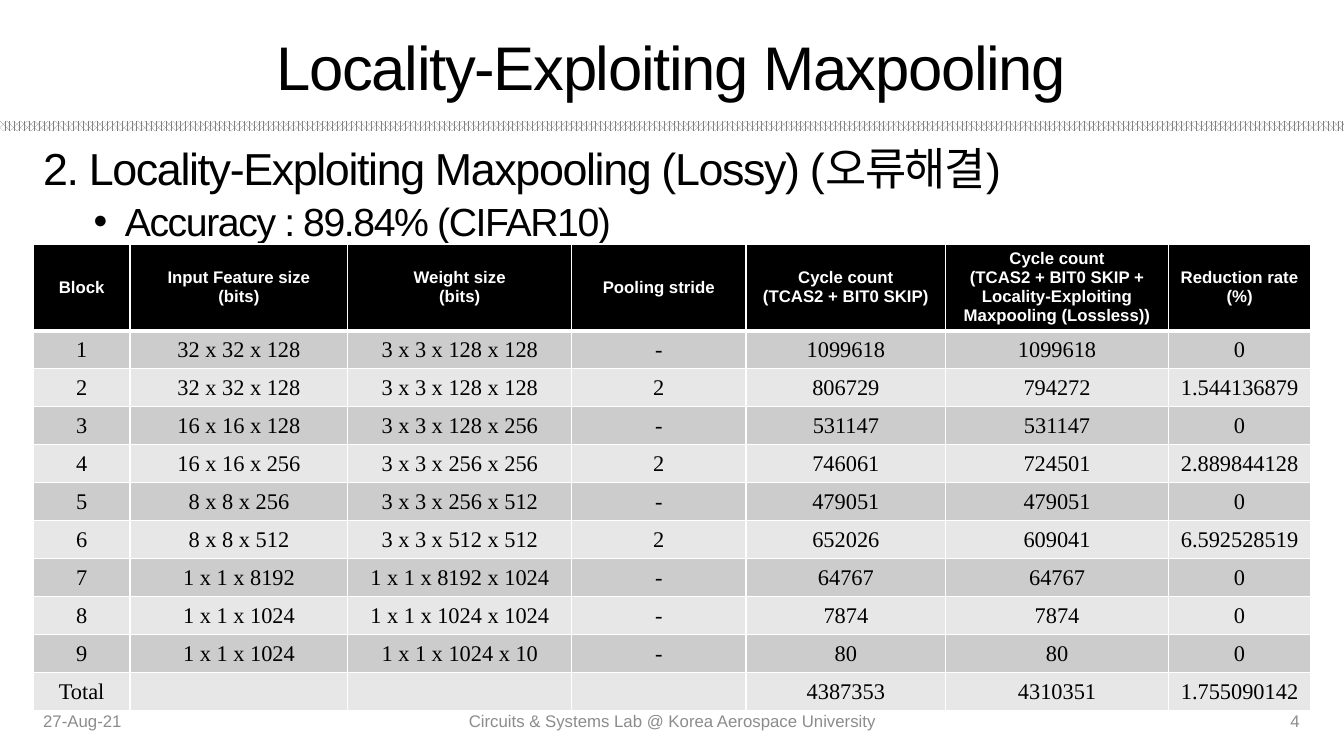
from pptx import Presentation
from pptx.dml.color import RGBColor
from pptx.enum.dml import MSO_PATTERN
from pptx.enum.shapes import MSO_SHAPE
from pptx.enum.text import MSO_ANCHOR as Anchor, PP_ALIGN as Align
from pptx.oxml.ns import qn
from pptx.util import Inches, Pt
from lxml.etree import SubElement

BLACK = RGBColor(0x00, 0x00, 0x00)
WHITE = RGBColor(0xFF, 0xFF, 0xFF)
GRAY = RGBColor(0x80, 0x80, 0x80)
FOOTER_GRAY = RGBColor(0x8C, 0x8C, 0x8C)
BANDS = (RGBColor(0xCC, 0xCC, 0xCC), RGBColor(0xE7, 0xE7, 0xE7))

TITLE = {"name": "Arial", "size": Pt(44), "color": BLACK}
TOPIC = {**TITLE, "size": Pt(32)}
DETAIL = {**TITLE, "size": Pt(28)}
FOOTER = {"name": "Arial", "size": Pt(12), "color": FOOTER_GRAY}
HEADER = {"name": "Arial", "size": Pt(12), "color": WHITE, "bold": True}
VALUE = {"name": "Times New Roman", "size": Pt(16), "color": BLACK, "bold": False}

HEADER_MARGINS = {"margin_top": Inches(0.03), "margin_bottom": Inches(0.03)}
COUNT_MARGINS = {"margin_left": Inches(0.01), "margin_right": Inches(0.01),
                 "margin_top": Inches(0.01), "margin_bottom": 0}

LEFT, WIDTH = 0.33, 12.66
FOOTER_TOP, FOOTER_HEIGHT = 6.95, 0.4
TABLE_TOP, TABLE_BOTTOM = 2.42, 7.03
HEADER_HEIGHT = 0.84
COLUMN_WIDTHS = (0.96, 2.16, 2.22, 1.73, 1.98, 2.21, 1.41)
FIRST_COUNT_COLUMN = 4

HEADINGS = (
    "Block", "Input Feature size\n(bits)", "Weight size\n(bits)", "Pooling stride",
    "Cycle count\n(TCAS2 + BIT0 SKIP)",
    "Cycle count\n(TCAS2 + BIT0 SKIP + Locality-Exploiting Maxpooling (Lossless))",
    "Reduction rate\n(%)",
)
RESULTS = (
    ("1", "32 x 32 x 128", "3 x 3 x 128 x 128", "-", "1099618", "1099618", "0"),
    ("2", "32 x 32 x 128", "3 x 3 x 128 x 128", "2", "806729", "794272", "1.544136879"),
    ("3", "16 x 16 x 128", "3 x 3 x 128 x 256", "-", "531147", "531147", "0"),
    ("4", "16 x 16 x 256", "3 x 3 x 256 x 256", "2", "746061", "724501", "2.889844128"),
    ("5", "8 x 8 x 256", "3 x 3 x 256 x 512", "-", "479051", "479051", "0"),
    ("6", "8 x 8 x 512", "3 x 3 x 512 x 512", "2", "652026", "609041", "6.592528519"),
    ("7", "1 x 1 x 8192", "1 x 1 x 8192 x 1024", "-", "64767", "64767", "0"),
    ("8", "1 x 1 x 1024", "1 x 1 x 1024 x 1024", "-", "7874", "7874", "0"),
    ("9", "1 x 1 x 1024", "1 x 1 x 1024 x 10", "-", "80", "80", "0"),
    ("Total", "", "", "", "4387353", "4310351", "1.755090142"),
)


class SlideBuilder:
    """Draws styled elements on the current slide."""

    def __init__(self, page):
        self.page = page

    def style(self, para, look, align=Align.LEFT, tracking=0):
        para.alignment = align
        for span in para.runs:
            for key, value in look.items():
                if key == "color":
                    span.font.color.rgb = value
                else:
                    setattr(span.font, key, value)
            if tracking:
                span.font._element.set("spc", str(tracking))

    def divider(self, left, top, width, height):
        bar = self.page.shapes.add_shape(
            MSO_SHAPE.RECTANGLE, *map(Inches, (left, top, width, height)))
        bar.shadow.inherit = False
        bar.line.fill.background()
        bar.fill.patterned()
        bar.fill.pattern = MSO_PATTERN.PERCENT_70
        bar.fill.fore_color.rgb = GRAY
        bar.fill.back_color.rgb = WHITE

    def text(self, place, content, look, align=Align.LEFT, anchor=Anchor.MIDDLE, tracking=0):
        box = self.page.shapes.add_textbox(*map(Inches, place))
        frame = box.text_frame
        frame.word_wrap = True
        frame.vertical_anchor = anchor
        frame.text = content
        self.style(frame.paragraphs[0], look, align, tracking)
        return frame

    def outline(self, place, topic, detail):
        frame = self.text(place, topic, TOPIC, anchor=Anchor.TOP, tracking=-100)
        item = frame.add_paragraph()
        item.text = detail
        item.level = 1
        self.style(item, DETAIL, tracking=-100)
        for para, space in zip(frame.paragraphs, (10, 5)):
            para.line_spacing = 0.9
            para.space_before = Pt(space)
        props = item._p.get_or_add_pPr()
        props.set("marL", str(Inches(0.81)))
        props.set("indent", str(Inches(-0.31)))
        SubElement(props, qn("a:buFont"), typeface="Arial")
        SubElement(props, qn("a:buChar"), char="•")

    def borders(self, cell, top, bottom):
        props = cell._tc.get_or_add_tcPr()
        for side, points in (("L", 1), ("R", 1), ("T", top), ("B", bottom)):
            line = SubElement(props, qn(f"a:ln{side}"), w=str(Pt(points)))
            fill = SubElement(line, qn("a:solidFill"))
            SubElement(fill, qn("a:srgbClr"), val=str(WHITE))

    def cell(self, cell, content, look, color, margins, top, bottom):
        self.borders(cell, top, bottom)
        cell.fill.solid()
        cell.fill.fore_color.rgb = color
        cell.vertical_anchor = Anchor.MIDDLE
        for key, value in margins.items():
            setattr(cell, key, value)
        cell.text = content
        for para in cell.text_frame.paragraphs:
            self.style(para, look, Align.CENTER)

    def table(self, left, top, bottom, headings, results):
        row_height = (bottom - top - HEADER_HEIGHT) / len(results)
        heights = [HEADER_HEIGHT] + [row_height] * len(results)
        place = (left, top, sum(COLUMN_WIDTHS), bottom - top)
        table = self.page.shapes.add_table(
            len(heights), len(headings), *map(Inches, place)).table
        for column, width in zip(table.columns, COLUMN_WIDTHS):
            column.width = Inches(width)
        for row, height in zip(table.rows, heights):
            row.height = Inches(height)
        for index, heading in enumerate(headings):
            self.cell(table.cell(0, index), heading, HEADER, BLACK, HEADER_MARGINS, 1, 3)
        for number, result in enumerate(results, start=1):
            for index, content in enumerate(result):
                compact = index >= FIRST_COUNT_COLUMN or not content
                self.cell(table.cell(number, index), content, VALUE,
                          BANDS[(number - 1) % 2], COUNT_MARGINS if compact else {},
                          top=3 if number == 1 else 1, bottom=1)


deck = Presentation()
deck.slide_width, deck.slide_height = Inches(13.33), Inches(7.5)
builder = SlideBuilder(deck.slides.add_slide(deck.slide_layouts[6]))

builder.divider(0, 1.2, 13.33, 0.1)
builder.outline((LEFT, 1.41, WIDTH, 5.35),
                "2. Locality-Exploiting Maxpooling (Lossy) (오류해결)",
                "Accuracy : 89.84% (CIFAR10)")
for left, width, content, align in (
    (LEFT, 3, "27-Aug-21", Align.LEFT),
    (4.42, 4.5, "Circuits & Systems Lab @ Korea Aerospace University", Align.CENTER),
    (9.95, 3.04, "4", Align.RIGHT),
):
    builder.text((left, FOOTER_TOP, width, FOOTER_HEIGHT), content, FOOTER, align)
builder.text((LEFT, 0.22, WIDTH, 0.87), "Locality-Exploiting Maxpooling",
             TITLE, Align.CENTER, tracking=-100)
builder.table(LEFT, TABLE_TOP, TABLE_BOTTOM, HEADINGS, RESULTS)

deck.save("out.pptx")
